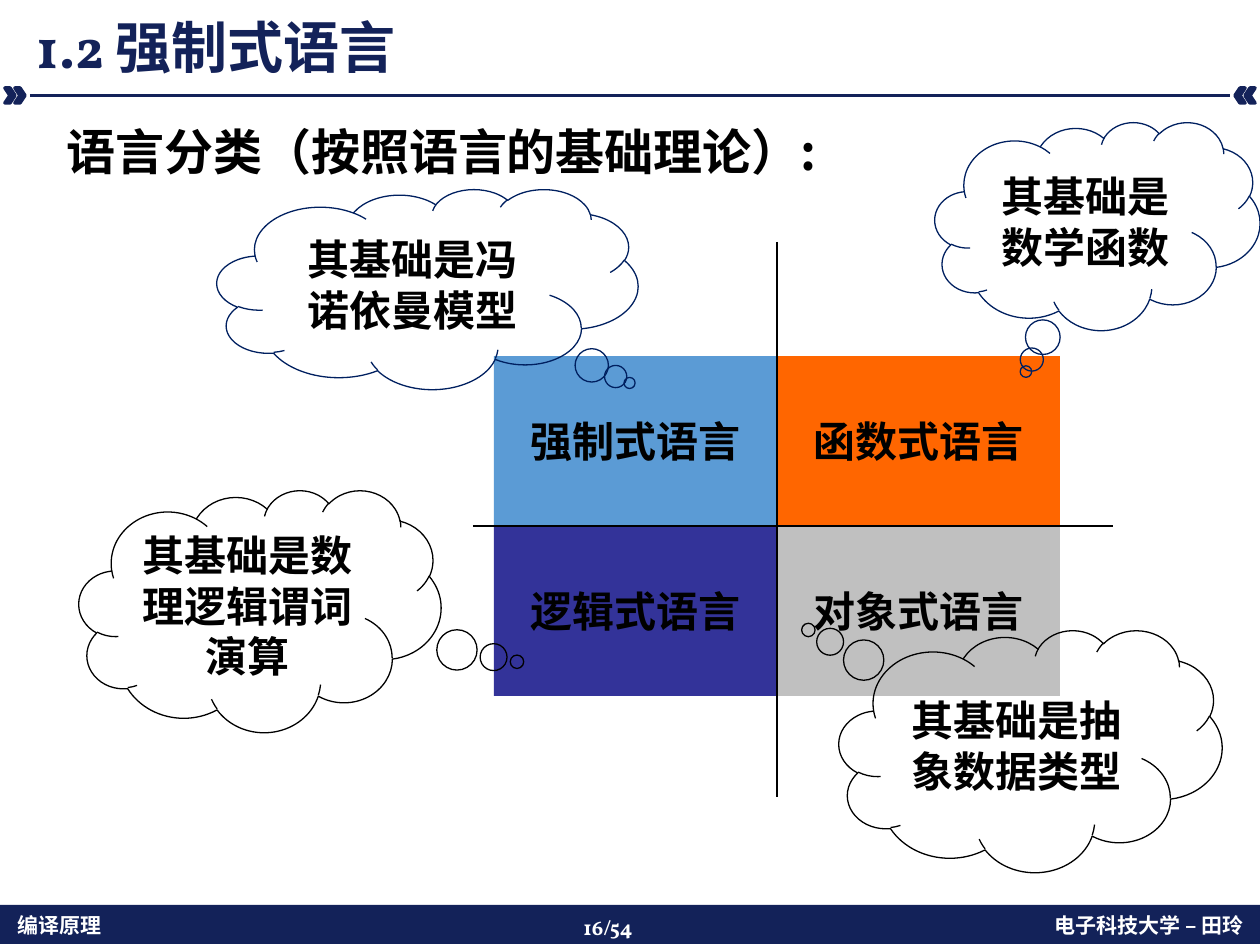
from lxml import etree
from pptx import Presentation
from pptx.dml.color import RGBColor
from pptx.enum.shapes import MSO_CONNECTOR, MSO_SHAPE
from pptx.enum.text import MSO_ANCHOR, MSO_AUTO_SIZE, PP_ALIGN
from pptx.oxml.ns import qn
from pptx.util import Emu, Pt

RECTANGLE, CHEVRON = MSO_SHAPE.RECTANGLE, MSO_SHAPE.CHEVRON
CLOUD = MSO_SHAPE.CLOUD_CALLOUT
STRAIGHT = MSO_CONNECTOR.STRAIGHT
LEFT, CENTER, RIGHT, JUSTIFY = PP_ALIGN.LEFT, PP_ALIGN.CENTER, PP_ALIGN.RIGHT, PP_ALIGN.JUSTIFY
MIDDLE, TOP, BOTTOM = MSO_ANCHOR.MIDDLE, MSO_ANCHOR.TOP, MSO_ANCHOR.BOTTOM
NO_AUTOFIT = MSO_AUTO_SIZE.NONE

EMU_PER_PX = 914400 / 126
PAGE_WIDTH, PAGE_HEIGHT = 1260, 945
CHINESE, LATIN = "Noto Sans CJK SC", "Vollkorn"
COLORS = {
    "navy": "132259",
    "outline": "002060",
    "black": "000000",
    "white": "FFFFFF",
    "blue": "5B9BD5",
    "orange": "FF6600",
    "indigo": "333399",
    "gray": "C0C0C0",
}


def px(*lengths):
    return [Emu(round(length * EMU_PER_PX)) for length in lengths]


def rgb(name):
    return RGBColor.from_string(COLORS[name])


def write(para, text, size, color, align=LEFT, font=CHINESE):
    para.alignment = align
    span = para.add_run()
    span.text = text
    span.font.size = Pt(size)
    span.font.bold = True
    span.font.name = font
    span.font.color.rgb = rgb(color)
    etree.SubElement(span.font._element, qn("a:ea"), typeface=CHINESE)


def add_figure(page, kind, box, fill=None, line=None, width=0.75):
    """Add a preset shape without shadow; no fill or line unless named."""
    shape = page.shapes.add_shape(kind, *px(*box))
    shape.shadow.inherit = False
    if fill:
        shape.fill.solid()
        shape.fill.fore_color.rgb = rgb(fill)
    else:
        shape.fill.background()
    if line:
        shape.line.color.rgb = rgb(line)
        shape.line.width = Pt(width)
    else:
        shape.line.fill.background()
    return shape


def add_label(shape, text):
    shape.text_frame.word_wrap = True
    shape.text_frame.vertical_anchor = MIDDLE
    write(shape.text_frame.paragraphs[0], text, 24, "black", CENTER)


def add_line(page, start, end, color, width):
    line = page.shapes.add_connector(STRAIGHT, *px(*start, *end))
    line.line.color.rgb = rgb(color)
    line.line.width = Pt(width)
    etree.SubElement(line._element.spPr, qn("a:effectLst"))


def place_placeholder(holder, box, anchor):
    holder.left, holder.top, holder.width, holder.height = px(*box)
    frame = holder.text_frame
    frame.auto_size = NO_AUTOFIT
    frame.vertical_anchor = anchor
    para = frame.paragraphs[0]
    para.line_spacing = 0.9
    return para


def add_title(page, box):
    para = place_placeholder(page.shapes.title, box, BOTTOM)
    write(para, "1.2 强制式语言", 32, "navy", font=LATIN)


def add_heading(page, box):
    para = place_placeholder(page.placeholders[1], box, TOP)
    para.space_before = Pt(10)
    indent, = px(32)
    properties = para._p.get_or_add_pPr()
    properties.set("marL", str(indent))
    properties.set("indent", str(-indent))
    etree.SubElement(properties, qn("a:buNone"))
    write(para, "语言分类（按照语言的基础理论）:", 28, "black", JUSTIFY)


def add_divider(page, box):
    """Draw a rule with two inward chevrons at each end."""
    left, top, width, height = box
    chevron = 10
    for index in range(2):
        offset = index * chevron
        add_figure(page, CHEVRON, (left + offset, top, chevron, height), "navy", "navy", 2)
        mirrored = left + width - chevron - offset
        end = add_figure(page, CHEVRON, (mirrored, top, chevron, height), "navy", "navy", 2)
        end.rotation = 180
    middle = top + height / 2
    add_line(page, (left + 25, middle), (left + width - 25, middle), "navy", 2)


def add_footer(page, box):
    left, top, width, height = box
    add_figure(page, RECTANGLE, box, "navy")
    items = [
        (5, 1, 370, "编译原理", LEFT, CHINESE),
        (width - 384, 1, 380, "电子科技大学 – 田玲", RIGHT, CHINESE),
        (571, 3, 118, "16/54", LEFT, LATIN),
    ]
    for x, y, item_width, text, align, font in items:
        label = page.shapes.add_textbox(*px(left + x, top + y, item_width, height - 1))
        label.text_frame.word_wrap = True
        write(label.text_frame.paragraphs[0], text, 12, "white", align, font)


def add_quadrants(page, box):
    """Draw the two-by-two grid of language families and its axes."""
    left, top, width, height = box
    cell_width, cell_height = width / 2, height / 2
    cells = [
        (1, 1, "gray", "对象式语言"),
        (0, 1, "indigo", "逻辑式语言"),
        (1, 0, "orange", "函数式语言"),
        (0, 0, "blue", "强制式语言"),
    ]
    for column, row, color, text in cells:
        cell = (left + column * cell_width, top + row * cell_height, cell_width, cell_height)
        add_label(add_figure(page, RECTANGLE, cell, color), text)
    center_x, center_y = left + cell_width, top + cell_height
    add_line(page, (left - 21, center_y), (left + width + 53, center_y), "black", 0.75)
    add_line(page, (center_x, top - 114), (center_x, top + height + 101), "black", 0.75)


def add_thought(page, box, tail, color, text):
    """Draw a cloud whose tail ends at a fraction of its size from the centre."""
    cloud = add_figure(page, CLOUD, box, line=color)
    cloud.adjustments[0], cloud.adjustments[1] = tail
    add_label(cloud, text)


def main():
    deck = Presentation()
    deck.slide_width, deck.slide_height = px(PAGE_WIDTH, PAGE_HEIGHT)
    page = deck.slides.add_slide(deck.slide_layouts[1])
    add_footer(page, (0, 905, PAGE_WIDTH, 39))
    add_divider(page, (5, 88, PAGE_WIDTH - 10, 15))
    add_title(page, (24, 6, 1211, 81))
    add_quadrants(page, (494, 356, 566, 340))
    add_heading(page, (54, 122, 819, 84))
    thoughts = [
        ((217, 189, 421, 200), (0.48, 0.47), "outline", "其基础是冯诺依曼模型"),
        ((935, 122, 325, 208), (-0.22, 0.7), "outline", "其基础是数学函数"),
        ((79, 490, 362, 242), (0.71, 0.21), "black", "其基础是数理逻辑谓词演算"),
        ((839, 630, 383, 242), (-0.58, -0.5), "black", "其基础是抽象数据类型"),
    ]
    for thought in thoughts:
        add_thought(page, *thought)
    deck.save("out.pptx")


if __name__ == "__main__":
    main()
